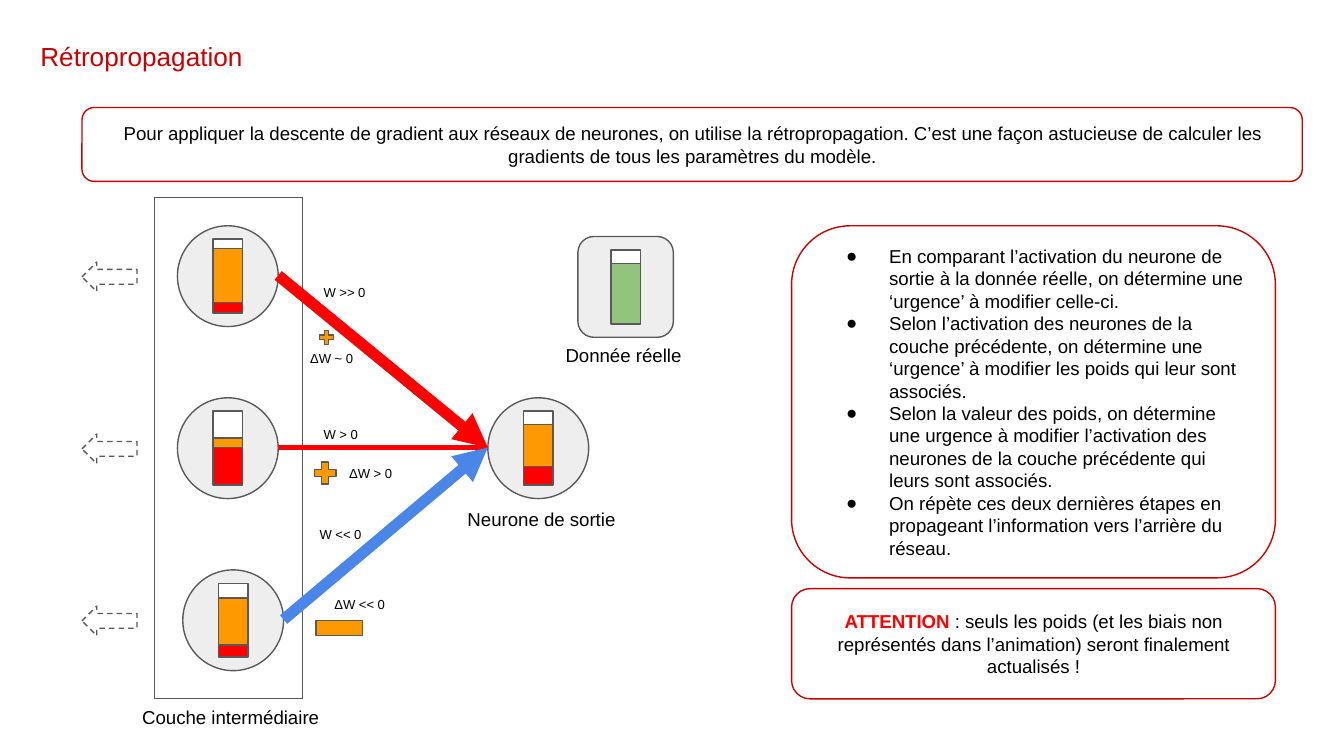
"""Build a slide explaining backpropagation through one layer of neurons."""
from lxml.etree import SubElement
from pptx import Presentation
from pptx.dml.color import RGBColor
from pptx.enum.dml import MSO_LINE
from pptx.enum.shapes import MSO_CONNECTOR, MSO_SHAPE
from pptx.enum.text import MSO_ANCHOR, MSO_AUTO_SIZE, PP_ALIGN
from pptx.oxml.ns import qn
from pptx.util import Inches, Pt

BLACK, WHITE, GREY, PALE = "000000", "FFFFFF", "595959", "EEEEEE"
CRIMSON, RED, ORANGE, GREEN, BLUE = "CC0000", "FF0000", "FF9900", "93C47D", "4A86E8"

deck = Presentation()
deck.slide_width = Inches(10)
deck.slide_height = Inches(10) * 9 // 16
page = deck.slides.add_slide(deck.slide_layouts[5])


def add_figure(kind, left, top, width, height, fill=None, line=GREY):
    figure = page.shapes.add_shape(
        kind, Inches(left), Inches(top), Inches(width), Inches(height))
    figure.shadow.inherit = False
    if fill:
        figure.fill.solid()
        figure.fill.fore_color.rgb = RGBColor.from_string(fill)
    else:
        figure.fill.background()
    figure.line.color.rgb = RGBColor.from_string(line)
    figure.line.width = Pt(0.75)
    return figure


def write(shape, text, lead="", size=10, color=BLACK, align=PP_ALIGN.LEFT,
          anchor=MSO_ANCHOR.TOP, bulleted=False):
    frame = shape.text_frame
    frame.word_wrap = True
    frame.auto_size = MSO_AUTO_SIZE.NONE
    frame.vertical_anchor = anchor
    frame.margin_left = frame.margin_right = Inches(0.1)
    frame.margin_top = frame.margin_bottom = Inches(0.1)
    for index, line in enumerate(text.split("\n")):
        para = frame.add_paragraph() if index else frame.paragraphs[0]
        para.alignment = align
        for words, shade, bold in ((lead, RED, True), (line, color, False)):
            if words:
                span = para.add_run()
                span.text = words
                span.font.name = "Arial"
                span.font.size = Pt(size)
                span.font.bold = bold
                span.font.color.rgb = RGBColor.from_string(shade)
        if bulleted:
            properties = para._p.get_or_add_pPr()
            properties.set("marL", str(Inches(0.5)))
            properties.set("indent", str(Inches(-0.32)))
            bullet_color = SubElement(properties, qn("a:buClr"))
            SubElement(bullet_color, qn("a:srgbClr"), val=BLACK)
            SubElement(properties, qn("a:buFont"), typeface="Arial")
            SubElement(properties, qn("a:buChar"), char="●")


title = page.shapes.title
title.left, title.top = Inches(0.2), Inches(0.2)
title.width, title.height = Inches(5.95), Inches(0.36)
write(title, "Rétropropagation", size=14, color=CRIMSON)

intro = add_figure(MSO_SHAPE.ROUNDED_RECTANGLE, 0.61, 0.8, 9.08, 0.55, WHITE, CRIMSON)
write(intro, "Pour appliquer la descente de gradient aux réseaux de neurones, on utilise "
      "la rétropropagation. C’est une façon astucieuse de calculer les gradients de tous "
      "les paramètres du modèle.", align=PP_ALIGN.CENTER, anchor=MSO_ANCHOR.MIDDLE)

add_figure(MSO_SHAPE.RECTANGLE, 1.15, 1.47, 1.1, 3.73)

layer_tops = [1.68 + 1.28 * row for row in range(3)]
holders = [
    (MSO_SHAPE.OVAL, 1.32, layer_tops[0], 0.75, [(WHITE, 0.07), (ORANGE, 0.4), (RED, 0.08)]),
    (MSO_SHAPE.OVAL, 1.32, layer_tops[1], 0.75, [(WHITE, 0.2), (ORANGE, 0.07), (RED, 0.28)]),
    (MSO_SHAPE.OVAL, 1.36, layer_tops[2], 0.75, [(WHITE, 0.11), (ORANGE, 0.35), (RED, 0.09)]),
    (MSO_SHAPE.OVAL, 3.63, layer_tops[1], 0.75, [(WHITE, 0.1), (ORANGE, 0.31), (RED, 0.14)]),
    (MSO_SHAPE.ROUNDED_RECTANGLE, 4.3, 1.76, 0.71, [(WHITE, 0.1), (GREEN, 0.45)]),
]
for kind, left, top, width, levels in holders:
    add_figure(kind, left, top, width, 0.75, PALE)
    level_top = top + 0.1
    for fill, height in levels:
        add_figure(MSO_SHAPE.RECTANGLE, left + (width - 0.22) / 2, level_top, 0.22, height, fill)
        level_top += height

for start, top, color, weight in zip((2.07, 2.07, 2.11), layer_tops, (RED, RED, BLUE), (6, 2.25, 6)):
    arrow = page.shapes.add_connector(
        MSO_CONNECTOR.STRAIGHT, Inches(start), Inches(top + 0.37), Inches(3.63), Inches(3.33))
    arrow.line.color.rgb = RGBColor.from_string(color)
    arrow.line.width = Pt(weight)
    SubElement(arrow.line._get_or_add_ln(), qn("a:tailEnd"), type="triangle")
    SubElement(arrow._element.spPr, qn("a:effectLst"))

for top in layer_tops:
    back_arrow = add_figure(MSO_SHAPE.LEFT_ARROW, 0.61, top + 0.27, 0.41, 0.22)
    back_arrow.line.dash_style = MSO_LINE.DASH

for kind, left, top, side in (
    (MSO_SHAPE.MATH_PLUS, 2.36, 2.44, 0.14),
    (MSO_SHAPE.MATH_PLUS, 2.31, 3.41, 0.22),
    (MSO_SHAPE.MATH_MINUS, 2.29, 4.44, 0.47),
):
    add_figure(kind, left, top, side, side, ORANGE)

for text, left, top, width, height, size in (
    ("Donnée réelle", 4.11, 2.46, 1.1, 0.36, 10),
    ("Neurone de sortie", 3.38, 3.68, 1.45, 0.36, 10),
    ("Couche intermédiaire", 0.96, 5.15, 1.77, 0.36, 10),
    ("W >> 0", 2.31, 2.02, 0.57, 0.31, 7),
    ("W > 0", 2.31, 3.07, 0.57, 0.31, 7),
    ("W << 0", 2.28, 3.82, 0.57, 0.31, 7),
    ("ΔW ~ 0", 2.21, 2.51, 0.57, 0.31, 7),
    ("ΔW > 0", 2.5, 3.36, 0.57, 0.31, 7),
    ("ΔW << 0", 2.39, 4.34, 0.68, 0.31, 7),
):
    label = page.shapes.add_textbox(Inches(left), Inches(top), Inches(width), Inches(height))
    write(label, text, size=size)

steps = add_figure(MSO_SHAPE.ROUNDED_RECTANGLE, 5.89, 1.68, 3.6, 2.62, WHITE, CRIMSON)
write(steps, "En comparant l’activation du neurone de sortie à la donnée réelle, on détermine "
      "une ‘urgence’ à modifier celle-ci.\n"
      "Selon l’activation des neurones de la couche précédente, on détermine une ‘urgence’ "
      "à modifier les poids qui leur sont associés.\n"
      "Selon la valeur des poids, on détermine une urgence à modifier l’activation des "
      "neurones de la couche précédente qui leurs sont associés.\n"
      "On répète ces deux dernières étapes en propageant l’information vers l’arrière "
      "du réseau.", anchor=MSO_ANCHOR.MIDDLE, bulleted=True)

warning = add_figure(MSO_SHAPE.ROUNDED_RECTANGLE, 5.89, 4.38, 3.6, 0.82, WHITE, CRIMSON)
write(warning, ": seuls les poids (et les biais non représentés dans l’animation) seront "
      "finalement actualisés !", lead="ATTENTION ", align=PP_ALIGN.CENTER,
      anchor=MSO_ANCHOR.MIDDLE)

deck.save("out.pptx")
